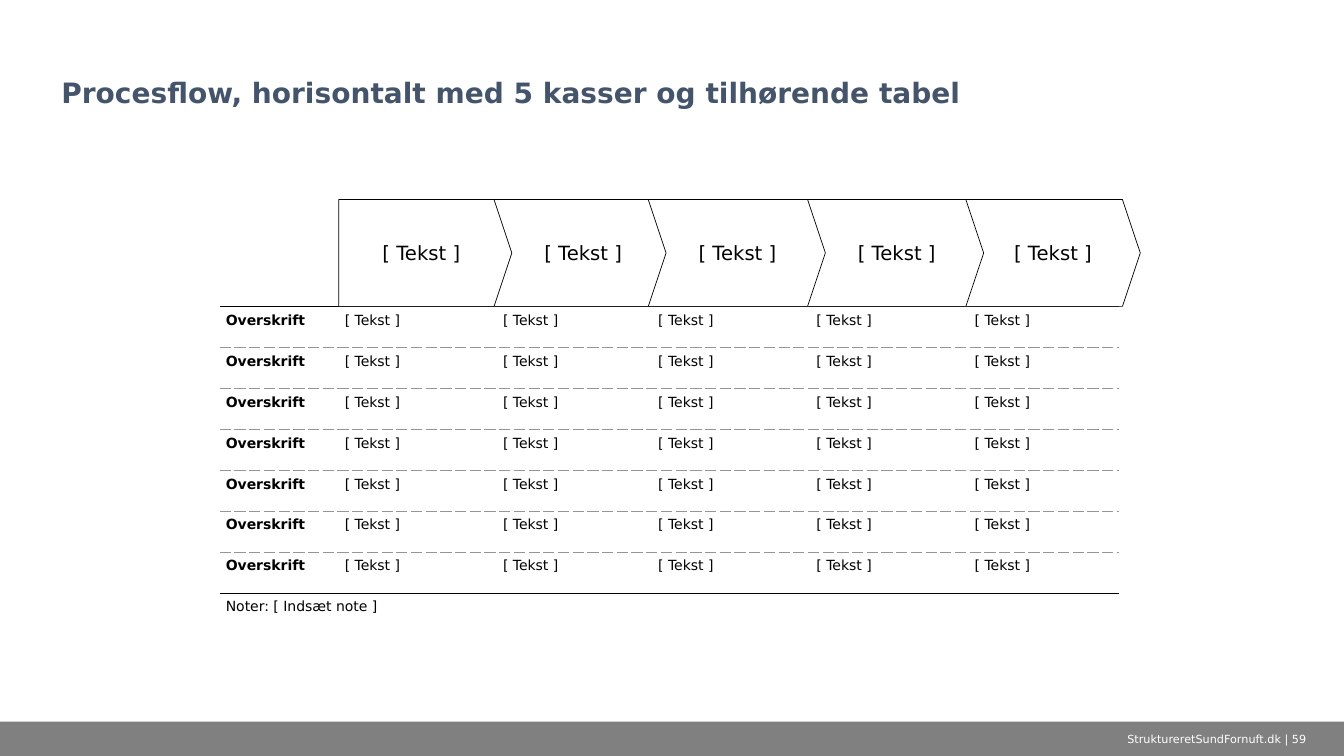
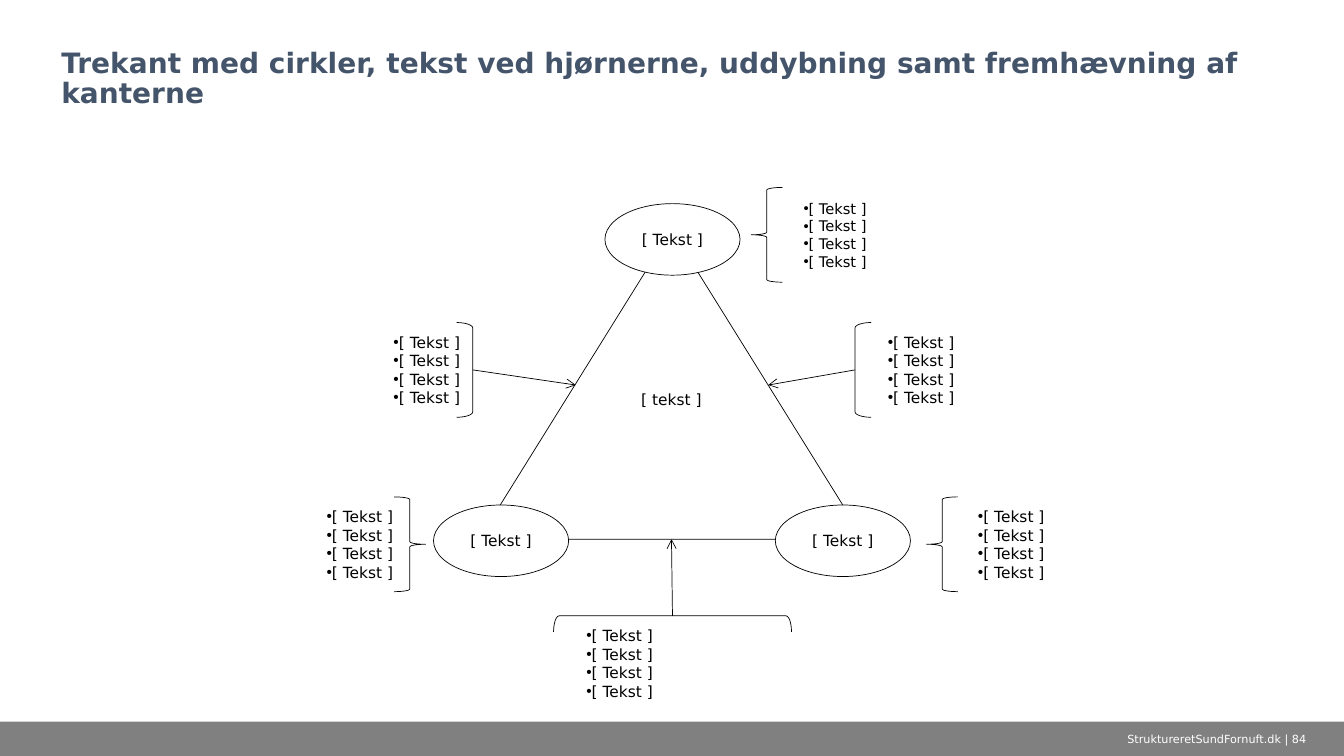
import pptx
import pptx.dml.color
import pptx.enum.shapes
import pptx.enum.text
import pptx.oxml.ns
import pptx.util
import lxml.etree

Inches = pptx.util.Inches
Pt = pptx.util.Pt
KIND = pptx.enum.shapes.MSO_SHAPE
ALIGN = pptx.enum.text.PP_ALIGN
ANCHOR = pptx.enum.text.MSO_ANCHOR
TEXT = "[ Tekst ]"
ITEMS = "\n".join([TEXT] * 4)


def tint(code):
    return pptx.dml.color.RGBColor.from_string(code)


def node(parent, tag, **attrs):
    return lxml.etree.SubElement(parent, pptx.oxml.ns.qn(tag), attrs)


class Deck:
    FONT = "DejaVu Sans"
    BLACK = "000000"
    WHITE = "FFFFFF"
    BAND = "808080"
    TITLE = "44546A"
    RULE = "90979B"
    THIN = 0.5
    SNUG = (0.06, 0.06)
    WIDE = (0.08, 0.06)
    BASE = (0.1, 0.05)

    def __init__(self):
        self.show = pptx.Presentation()
        self.show.slide_width = Inches(13.33)
        self.show.slide_height = Inches(7.5)

    def page(self, title, number):
        self.slide = self.show.slides.add_slide(self.show.slide_layouts[6])
        self.shape(KIND.RECTANGLE, (0, 7.16, 13.33, 0.34), fill=self.BAND, line=None)
        head = self.label((0.51, 0.17, 12.31, 0.97), title, 20, self.TITLE,
                          align=ALIGN.LEFT, anchor=ANCHOR.BOTTOM, bold=True)
        head.text_frame.paragraphs[0].line_spacing = 0.9
        self.label((10.81, 7.16, 2.52, 0.34), f"StruktureretSundFornuft.dk | {number}", 8, self.WHITE)

    def style(self, frame, text, size, color=BLACK, align=ALIGN.CENTER,
              anchor=ANCHOR.MIDDLE, pad=BASE, bold=False, dots=False):
        frame.word_wrap = True
        frame.vertical_anchor = anchor
        frame.margin_left = frame.margin_right = Inches(pad[0])
        frame.margin_top = frame.margin_bottom = Inches(pad[1])
        frame.text = text
        for para in frame.paragraphs:
            para.alignment = align
            if dots:
                props = para._p.get_or_add_pPr()
                props.set("marL", str(Inches(0.2)))
                props.set("indent", "0")
                node(props, "a:buFont", typeface="Arial")
                node(props, "a:buChar", char="•")
            for run in para.runs:
                self.type(run.font, size, color, bold)

    def type(self, font, size, color=BLACK, bold=False):
        font.name = self.FONT
        font.size = Pt(size)
        font.bold = bold
        font.color.rgb = tint(color)

    def label(self, box, text, size, color, **looks):
        item = self.slide.shapes.add_textbox(*map(Inches, box))
        self.style(item.text_frame, text, size, color, **looks)
        return item

    def shape(self, kind, box, text="", size=11, fill=None, line=BLACK, bend=None, **looks):
        item = self.slide.shapes.add_shape(kind, *map(Inches, box))
        item.shadow.inherit = False
        if fill:
            item.fill.solid()
            item.fill.fore_color.rgb = tint(fill)
        else:
            item.fill.background()
        if line:
            item.line.color.rgb = tint(line)
            item.line.width = Pt(self.THIN)
        else:
            item.line.fill.background()
        if bend is not None:
            item.adjustments[0] = bend
        if text:
            self.style(item.text_frame, text, size, **looks)
        return item

    def points(self, box, right=False, size=11, plain=False):
        looks = {"align": ALIGN.RIGHT if right else ALIGN.LEFT, "pad": self.WIDE, "dots": True}
        if plain:
            self.label(box, ITEMS, size, self.BLACK, **looks)
        else:
            self.shape(KIND.ROUNDED_RECTANGLE, box, ITEMS, size, line=None, **looks)

    def arrow(self, start, end):
        item = self.slide.shapes.add_connector(
            pptx.enum.shapes.MSO_CONNECTOR.STRAIGHT, *map(Inches, start + end))
        item.line.color.rgb = tint(self.BLACK)
        item.line.width = Pt(self.THIN)
        node(item.line._get_or_add_ln(), "a:tailEnd", type="arrow")
        node(item._element.spPr, "a:effectLst")

    def edge(self, cell, side, color=None, dash="solid"):
        line = node(cell._tc.get_or_add_tcPr(), "a:ln" + side, w=str(Pt(0.25)))
        if color:
            node(node(line, "a:solidFill"), "a:srgbClr", val=color)
            node(line, "a:prstDash", val=dash)
        else:
            node(line, "a:noFill")

    def table(self, box, widths, rows):
        grid = self.slide.shapes.add_table(len(rows), len(widths), *map(Inches, box)).table
        grid.first_row = grid.horz_banding = False
        for col, width in zip(grid.columns, widths):
            col.width = Inches(width)
        last = len(rows) - 1
        solid = (self.BLACK, "solid")
        rules = [solid] + [(self.RULE, "dash")] * (last - 1) + [solid, (None,)]
        for r, row in enumerate(rows):
            grid.rows[r].height = Inches(box[3] / len(rows))
            for c in range(len(widths)):
                cell = grid.cell(r, c)
                self.edge(cell, "L")
                self.edge(cell, "R")
                self.edge(cell, "T", *rules[r])
                self.edge(cell, "B", *rules[r + 1])
                cell.fill.background()
                if c in row:
                    self.fill(cell, row[c], bold=c == 0 and r < last)
                else:
                    cell.margin_left = cell.margin_right = 0
        grid.cell(last, 0).merge(grid.cell(last, len(widths) - 1))

    def fill(self, cell, text, bold):
        cell.margin_left = cell.margin_right = Inches(self.SNUG[0])
        cell.margin_top = cell.margin_bottom = Inches(self.SNUG[1])
        cell.text = text
        for run in cell.text_frame.paragraphs[0].runs:
            self.type(run.font, 10, bold=bold)


def process(deck):
    deck.page("Procesflow, horisontalt med 5 kasser og tilhørende tabel", 59)
    gap = [0.04, 0.04]
    widths = [1.1, 0.08, 1.49, *gap, 1.46]
    for _ in range(3):
        widths += [*gap, 1.49]
    row = {0: "Overskrift", **{c: TEXT for c in range(2, len(widths), 3)}}
    deck.table((2.18, 3.04, 8.94, 3.25), widths, [row] * 7 + [{0: "Noter: [ Indsæt note ]"}])
    steps = [(3.36, 1.72), (4.9, 1.77), (6.43, 1.77), (8.01, 1.77), (9.58, 1.73)]
    for i, (left, width) in enumerate(steps):
        kind, bend = (KIND.CHEVRON, 0.167) if i else (KIND.PENTAGON, 0.152)
        deck.shape(kind, (left, 1.98, width, 1.06), TEXT, 14, fill=deck.WHITE, bend=bend)


def corners(deck):
    deck.page("Trekant med cirkler, tekst ved hjørnerne, uddybning samt fremhævning af kanterne", 84)
    deck.shape(KIND.ISOSCELES_TRIANGLE, (4.75, 2.28, 3.82, 3.07), "[ tekst ]",
               anchor=ANCHOR.TOP, pad=deck.WIDE)
    for left, top in [(4.3, 5.01), (7.69, 5.01), (6, 2.02)]:
        deck.shape(KIND.OVAL, (left, top, 1.34, 0.71), TEXT, fill=deck.WHITE, pad=deck.SNUG)

    high = 0.94
    braces = [(KIND.LEFT_BRACE, 7.45, 1.86, 7.69, 2.13, 10.5),
              (KIND.RIGHT_BRACE, 3.91, 4.93, 2.41, 1.57, 11),
              (KIND.LEFT_BRACE, 9.19, 4.93, 9.42, 2.13, 11)]
    for kind, left, top, start, width, size in braces:
        deck.shape(kind, (left, top, 0.31, high))
        deck.points((start, top, width, high), kind == KIND.RIGHT_BRACE, size, plain=True)

    thick, bend = 0.16, 0.344
    sides = [(KIND.LEFT_BRACKET, 8.48, 8.48, 8.48, 7.62),
             (KIND.RIGHT_BRACKET, 1.7, 4.53, 4.69, 5.71)]
    for kind, start, left, tail, tip in sides:
        deck.points((start, 3.2, 2.99, high), kind == KIND.RIGHT_BRACKET)
        deck.shape(kind, (left, 3.2, thick, high), bend=bend)
        deck.arrow((tail, 3.67), (tip, 3.82))

    deck.points((5.49, 6.11, 2.36, high))
    deck.shape(KIND.LEFT_BRACKET, (6.59, 5.01, thick, 2.36), bend=bend).rotation = 90
    deck.arrow((6.67, 6.11), (6.66, 5.35))


def main():
    deck = Deck()
    process(deck)
    corners(deck)
    deck.show.save("out.pptx")


if __name__ == "__main__":
    main()
